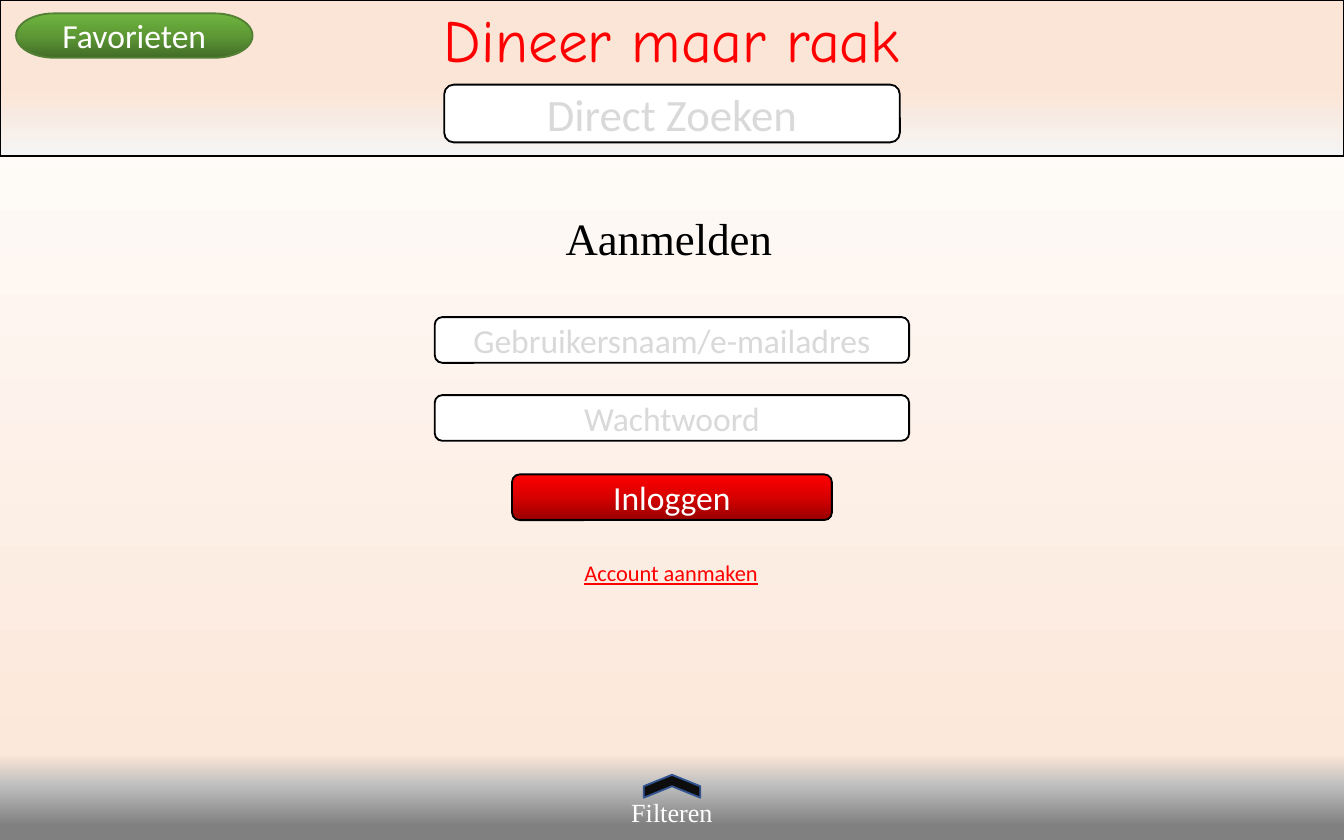
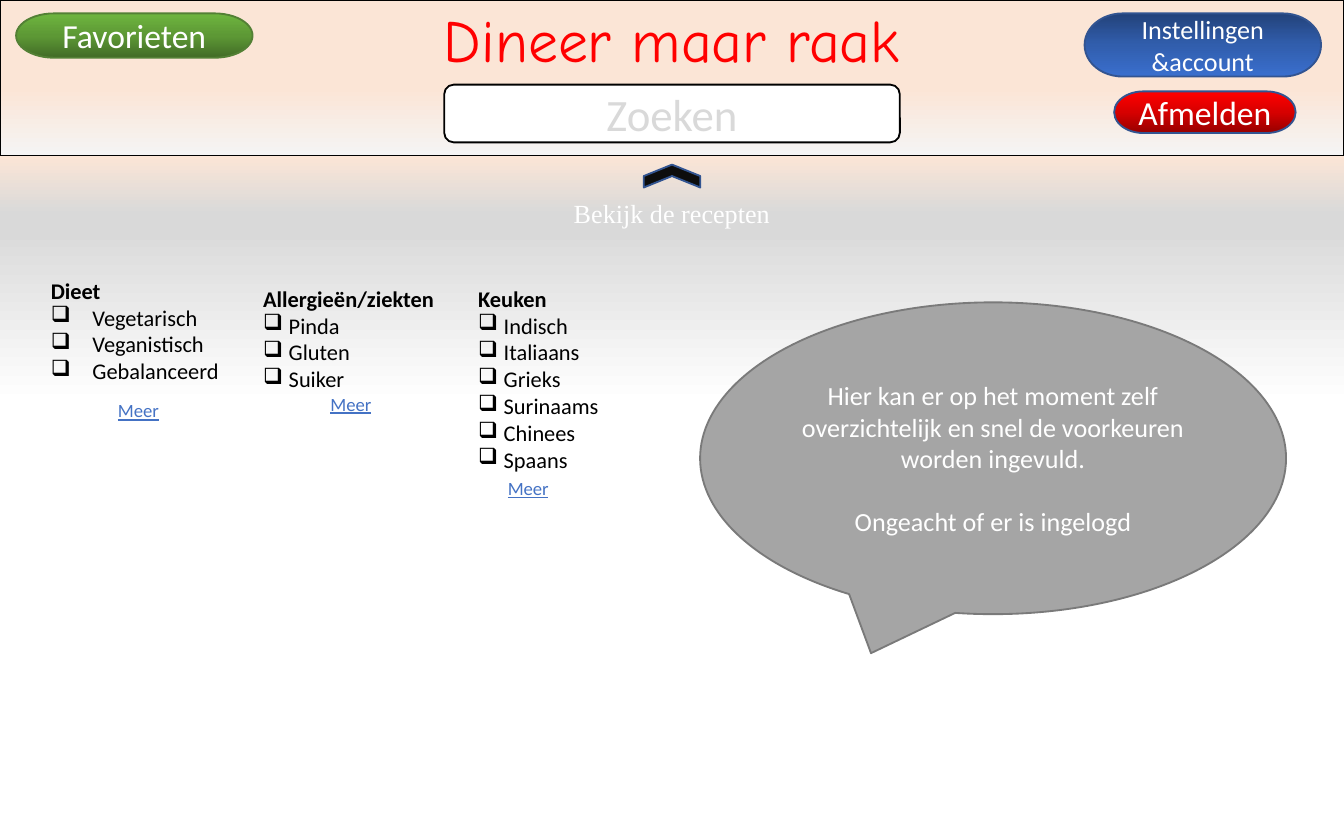
import dataclasses

import lxml.etree
import pptx
import pptx.dml.color
import pptx.enum.shapes
import pptx.enum.text
import pptx.oxml.ns
import pptx.util

FORMS = pptx.enum.shapes.MSO_SHAPE
ALIGN = pptx.enum.text.PP_ALIGN
ANCHOR = pptx.enum.text.MSO_ANCHOR
FIT = pptx.enum.text.MSO_AUTO_SIZE


@dataclasses.dataclass(frozen=True)
class Theme:
    """Gradients run from top to bottom as (percent, colour) stops."""
    body: str = "Calibri"
    serif: str = "Times New Roman"
    brand: str = "Comic Neue"

    huge: int = 32
    large: int = 24
    medium: int = 18
    normal: int = 14
    small: int = 12
    tiny: int = 10

    black: str = "000000"
    white: str = "FFFFFF"
    red: str = "FF0000"
    hint: str = "D9D9D9"
    link: str = "4472C4"
    dark: str = "0D0D0D"
    navy: str = "325491"
    moss: str = "538035"
    gray: str = "A5A5A5"
    edge: str = "7A7A7A"

    head: tuple = ((0, "FBE5D6"), (56, "FBE5D6"), (100, "F5F4F4"))
    foot: tuple = ((0, "FBE5D6"), (35, "BFBFBF"), (83, "808080"))
    strip: tuple = ((0, "FBE5D6"), (69, "D9D9D9"))
    peach: tuple = ((0, "FFFFFF"), (100, "FBE5D6"))
    smoke: tuple = ((0, "262626"), (13, "BFBFBF"), (48, "FFFFFF"))
    green: tuple = ((0, "6EB53F"), (50, "5D9835"), (100, "416B26"))
    blue: tuple = ((0, "23427A"), (50, "315EAD"), (100, "3A6FCE"))
    alarm: tuple = ((0, "FF0000"), (50, "D70000"), (100, "970000"))


THEME = Theme()


def tint(code):
    return pptx.dml.color.RGBColor.from_string(code)


def paint(fill, paint_with, root):
    """Fill with one colour, or with gradient stops found below root."""
    if isinstance(paint_with, str):
        fill.solid()
        fill.fore_color.rgb = tint(paint_with)
        return
    fill.gradient()
    fill.gradient_angle = 270
    stops = root.xpath(".//a:gsLst")[0]
    for old in list(stops):
        stops.remove(old)
    qn = pptx.oxml.ns.qn
    for share, code in paint_with:
        stop = lxml.etree.SubElement(stops, qn("a:gs"), pos=str(share * 1000))
        lxml.etree.SubElement(stop, qn("a:srgbClr"), val=code)


def write(frame, text, size=THEME.normal, font=THEME.body, color=THEME.white,
          bold=False, under=False, align=ALIGN.CENTER, before=0,
          left=0, hang=0, bullet=None):
    """Add one paragraph; left and hang are in inches, before in points."""
    para = frame.add_paragraph() if frame.text else frame.paragraphs[0]
    para.alignment = align
    para.line_spacing = 1.0
    para.space_before = pptx.util.Pt(before)
    run = para.add_run()
    run.text = text
    run.font.size = pptx.util.Pt(size)
    run.font.name = font
    run.font.color.rgb = tint(color)
    run.font.bold = bold
    run.font.underline = under
    props = para._p.get_or_add_pPr()
    props.set("marL", str(pptx.util.Inches(left)))
    props.set("indent", str(-pptx.util.Inches(hang)))
    if bullet:
        lxml.etree.SubElement(props, pptx.oxml.ns.qn("a:buChar"), char=bullet)


class Deck:
    """Slides on a grid of 100 columns; rows are as high as columns wide."""

    def __init__(self, theme):
        self.theme = theme
        self.show = pptx.Presentation()
        self.show.slide_width = pptx.util.Inches(10)
        self.show.slide_height = pptx.util.Inches(6.25)
        self.unit = self.show.slide_width / 100
        self.slide = None

    def place(self, left, top, width, height):
        """Turn grid cells into lengths; left None means centred."""
        if left is None:
            left = (100 - width) / 2
        return [round(cells * self.unit) for cells in (left, top, width, height)]

    def start(self, ground, query):
        """Add a slide with the background and header that all share."""
        look = self.theme
        self.slide = self.show.slides.add_slide(self.show.slide_layouts[5])
        paint(self.slide.background.fill, ground,
              self.slide._element.xpath(".//p:bg")[0])
        head = self.slide.shapes.title
        head.left, head.top, head.width, head.height = self.place(0, 0, 100, 11.6)
        self.dress(head, look.head, look.black)
        frame = head.text_frame
        frame.auto_size = FIT.NONE
        frame.vertical_anchor = ANCHOR.TOP
        frame.margin_top = pptx.util.Inches(0.02)
        write(frame, "Dineer maar raak", size=look.huge, font=look.brand,
              color=look.red)
        self.field(query, 6.3, 33.9, 4.3, size=look.large)
        self.pill("Favorieten", (1.2, 1, 17.6, 3.3), look.green, look.moss)

    def dress(self, shape, fill, line):
        paint(shape.fill, fill, shape._element.spPr)
        if line:
            shape.line.color.rgb = tint(line)
            shape.line.width = pptx.util.Pt(1)
        else:
            shape.line.fill.background()

    def shape(self, form, spot, fill, line=None):
        item = self.slide.shapes.add_shape(form, *self.place(*spot))
        item.shadow.inherit = False
        self.dress(item, fill, line)
        item.text_frame.vertical_anchor = ANCHOR.MIDDLE
        return item

    def field(self, text, top, width, height, size=THEME.medium,
              fill=THEME.white, color=THEME.hint):
        box = self.shape(FORMS.ROUNDED_RECTANGLE, (None, top, width, height),
                         fill, self.theme.black)
        write(box.text_frame, text, size=size, color=color)

    def pill(self, text, spot, fill, line, size=THEME.medium):
        item = self.shape(FORMS.FLOWCHART_TERMINATOR, spot, fill, line)
        write(item.text_frame, text, size=size)

    def band(self, text, top, fill, arrow):
        """Full-width strip with a label below an upward chevron."""
        frame = self.shape(FORMS.RECTANGLE, (0, top, 100, 6.3), fill).text_frame
        frame.vertical_anchor = ANCHOR.BOTTOM
        frame.margin_bottom = pptx.util.Inches(0.09)
        write(frame, text, font=self.theme.serif)
        mark = self.shape(FORMS.CHEVRON, (None, arrow, 1.7, 4.2),
                          self.theme.dark, self.theme.navy)
        mark.rotation = 270

    def label(self, spot):
        """Add a free text box and return its frame."""
        frame = self.slide.shapes.add_textbox(*self.place(*spot)).text_frame
        frame.word_wrap = False
        frame.auto_size = FIT.SHAPE_TO_FIT_TEXT
        return frame

    def checks(self, head, items, spot, hang, left, before):
        """Add a list of tick boxes, closed by a link set in by left."""
        look = self.theme
        frame = self.label(spot)
        plain = dict(size=look.small, color=look.black, align=ALIGN.LEFT)
        write(frame, head, bold=True, **plain)
        for item in items:
            write(frame, item, left=hang, hang=hang, bullet="❑", **plain)
        write(frame, "Meer", size=look.tiny, color=look.link, under=True,
              align=ALIGN.LEFT, left=left, before=before)


def login(deck):
    look = deck.theme
    deck.start(look.peach, "Direct Zoeken")
    write(deck.label((41.1, 15.2, 17.7, 5)), "Aanmelden", size=look.large,
          font=look.serif, color=look.black, align=ALIGN.LEFT)
    deck.field("Gebruikersnaam/e-mailadres", 23.6, 35.3, 3.4)
    deck.field("Wachtwoord", 29.4, 35.3, 3.4)
    deck.field("Inloggen", 35.3, 23.8, 3.4, fill=look.alarm, color=look.white)
    write(deck.label((42.5, 41.1, 15.1, 3)), "Account aanmaken",
          size=look.small, color=look.red, under=True, align=ALIGN.LEFT)
    deck.band("Filteren", 56.2, look.foot, 56.4)


def filters(deck):
    look = deck.theme
    deck.start(look.smoke, "Zoeken")
    deck.band("Bekijk de recepten", 11.6, look.strip, 11)
    deck.checks("Dieet", ("Vegetarisch", "Veganistisch", "Gebalanceerd"),
                (2.8, 20.1, 14.7, 12.1), hang=0.31, left=0.5, before=8)
    deck.checks("Allergieën/ziekten", ("Pinda", "Gluten", "Suiker"),
                (18.6, 20.7, 14.9, 10.8), hang=0.19, left=0.5, before=0)
    deck.checks("Keuken", ("Indisch", "Italiaans", "Grieks", "Surinaams",
                           "Chinees", "Spaans"),
                (34.6, 20.7, 11, 19.2), hang=0.19, left=0.22, before=2)
    note = deck.shape(FORMS.OVAL_CALLOUT, (52.1, 22.5, 43.6, 23.2),
                      look.gray, look.edge).text_frame
    write(note, "Hier kan er op het moment zelf overzichtelijk en snel "
                "de voorkeuren worden ingevuld.")
    write(note, "Ongeacht of er is ingelogd", before=17)
    deck.pill("Instellingen &account", (80.7, 1, 17.6, 4.7), look.blue,
              look.navy, size=look.normal)
    deck.pill("Afmelden", (82.9, 6.8, 13.5, 3.1), look.alarm, look.navy)


def main():
    deck = Deck(THEME)
    login(deck)
    filters(deck)
    deck.show.save("out.pptx")


if __name__ == "__main__":
    main()
